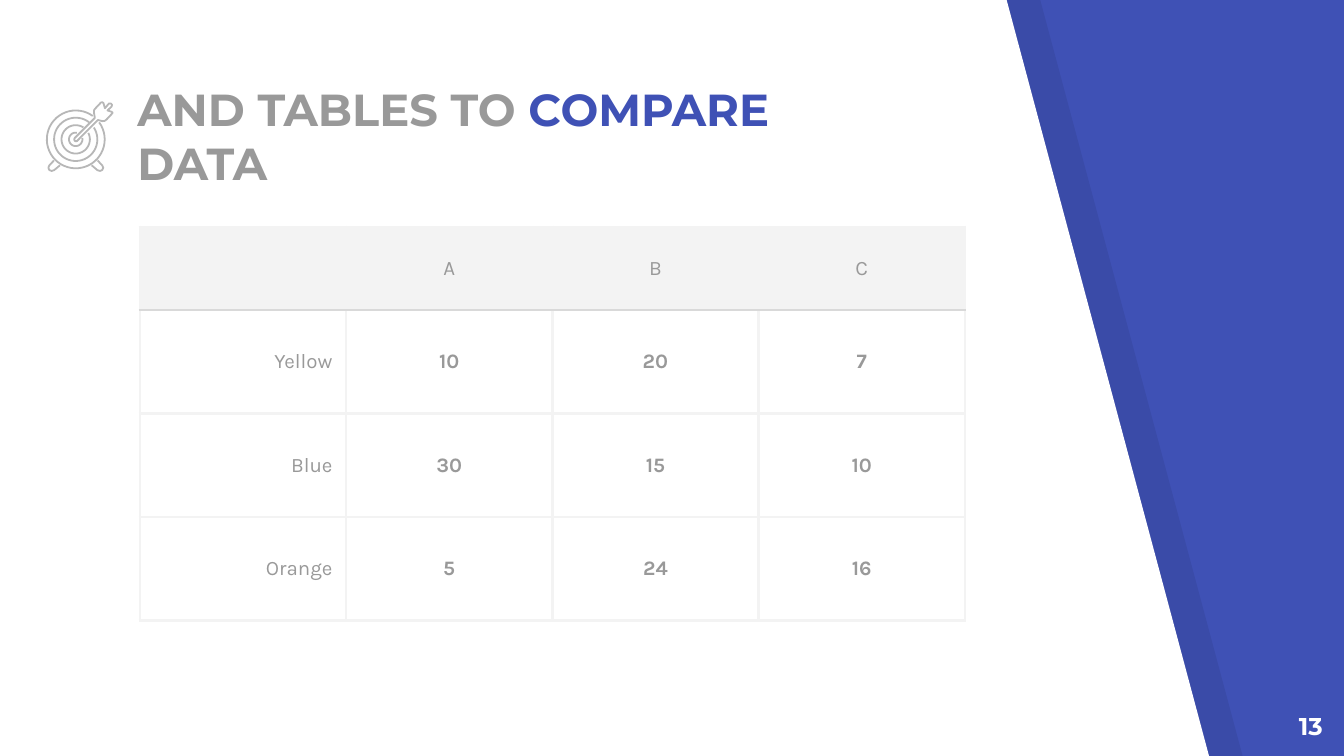
from math import cos, radians, sin

from lxml import etree
from pptx import Presentation
from pptx.dml.color import RGBColor
from pptx.enum.text import MSO_ANCHOR, MSO_AUTO_SIZE, PP_ALIGN
from pptx.oxml.ns import qn
from pptx.util import Pt

LEFT, CENTER, RIGHT = PP_ALIGN.LEFT, PP_ALIGN.CENTER, PP_ALIGN.RIGHT
TOP, MIDDLE, BOTTOM = MSO_ANCHOR.TOP, MSO_ANCHOR.MIDDLE, MSO_ANCHOR.BOTTOM
NO_AUTOFIT = MSO_AUTO_SIZE.NONE

COLORS = {
    "blue": "3F51B5",
    "black": "000000",
    "white": "FFFFFF",
    "text": "999999",
    "icon": "B7B7B7",
    "grid": "F3F3F3",
    "rule": "D9D9D9",
}
HEADING_FONT, BODY_FONT = "Montserrat", "Karla"
TITLE_ONLY = 5

TABLE_ROWS = [
    ["", "A", "B", "C"],
    ["Yellow", "10", "20", "7"],
    ["Blue", "30", "15", "10"],
    ["Orange", "5", "24", "16"],
]

TARGET_X, TARGET_Y = 40.6, 74.7
RINGS = [(15.5, -54, -36), (11.6, -52, -33), (7.6, -57, -27), (3.6, -80, -12)]
FOOT = [(-11.7, 11.3), (-14.2, 14), (-14.7, 15.2), (-14.2, 16.4),
        (-13, 16.9), (-11.6, 16.5), (-8.5, 13.9)]
DART = [(59.8, 59.9), (57.6, 59.2), (59.8, 57), (60, 56.2), (59.5, 55.5),
        (58.3, 55.5), (56.2, 58), (55.4, 55.2), (54.7, 54.7), (54, 55),
        (51, 58.2), (50.4, 59), (50.3, 60.2), (50.8, 63.2), (40, 74),
        (39.7, 74.8), (40.2, 75.6), (41.2, 75.6), (52.4, 64.3),
        (54.8, 64.9), (56, 64.8), (57, 64.1), (60.1, 60.8), (60.3, 60.3)]


class SlideBuilder:
    def __init__(self, slide):
        self.slide = slide

    def color(self, name):
        return RGBColor.from_string(COLORS[name])

    def background(self, color):
        fill = self.slide.background.fill
        fill.solid()
        fill.fore_color.rgb = self.color(color)

    def format_text(self, frame, font, size, color, bold=False, align=LEFT):
        for paragraph in frame.paragraphs:
            paragraph.alignment = align
            for run in paragraph.runs:
                run.font.name = font
                run.font.size = Pt(size)
                run.font.bold = bold
                run.font.color.rgb = self.color(color)

    def format_frame(self, frame, anchor):
        frame.word_wrap = True
        frame.auto_size = NO_AUTOFIT
        frame.vertical_anchor = anchor
        frame.margin_left = frame.margin_right = Pt(7.2)
        frame.margin_top = frame.margin_bottom = Pt(7.2)

    def place(self, shape, left, top, width, height):
        shape.left, shape.top = Pt(left), Pt(top)
        shape.width, shape.height = Pt(width), Pt(height)

    def bring_to_front(self, shape):
        shape.element.getparent().append(shape.element)

    def title(self, parts, highlight, box):
        shape = self.slide.shapes.title
        self.bring_to_front(shape)
        self.place(shape, *box)
        frame = shape.text_frame
        self.format_frame(frame, BOTTOM)
        for part in parts:
            frame.paragraphs[0].add_run().text = part
        self.format_text(frame, HEADING_FONT, 24, "text", bold=True)
        frame.paragraphs[0].runs[highlight].font.color.rgb = self.color("blue")

    def text(self, text, box, size, color, align):
        frame = self.slide.shapes.add_textbox(*map(Pt, box)).text_frame
        self.format_frame(frame, TOP)
        frame.text = text
        self.format_text(frame, HEADING_FONT, size, color, True, align)

    def freeform(self, shapes, points, close):
        points = [(Pt(x), Pt(y)) for x, y in points]
        builder = shapes.build_freeform(*points[0], scale=1.0)
        builder.add_line_segments(points[1:], close=close)
        shape = builder.convert_to_shape()
        shape.shadow.inherit = False
        return shape

    def panel(self, points, color, opacity=None):
        shape = self.freeform(self.slide.shapes, points, True)
        shape.fill.solid()
        shape.fill.fore_color.rgb = self.color(color)
        shape.line.fill.background()
        if opacity:
            value = shape.element.spPr.find(qn("a:solidFill")).find(qn("a:srgbClr"))
            etree.SubElement(value, qn("a:alpha"), val=str(opacity * 1000))

    def outline(self, group, points, close=False):
        shape = self.freeform(group.shapes, points, close)
        shape.fill.background()
        shape.line.color.rgb = self.color("icon")
        shape.line.width = Pt(0.96)

    def target_icon(self):
        group = self.slide.shapes.add_group_shape()
        for radius, gap_start, gap_end in RINGS:
            steps = 48
            sweep = gap_start + 360 - gap_end
            angles = [radians(gap_end + sweep * i / steps) for i in range(steps + 1)]
            self.outline(group, [(TARGET_X + radius * cos(angle),
                                  TARGET_Y + radius * sin(angle)) for angle in angles])
        for side in (1, -1):
            self.outline(group, [(TARGET_X + side * x, TARGET_Y + y) for x, y in FOOT])
        self.outline(group, DART, close=True)

    def cell_borders(self, cell, colors):
        properties = cell._tc.get_or_add_tcPr()
        for side, color in zip("LRTB", colors):
            line = etree.SubElement(properties, qn(f"a:ln{side}"), w=str(Pt(1.5)))
            fill = etree.SubElement(line, qn("a:solidFill"))
            etree.SubElement(fill, qn("a:srgbClr"), val=COLORS[color])

    def table(self, rows, left, top, column_width, row_heights):
        columns = len(rows[0])
        table = self.slide.shapes.add_table(
            len(rows), columns, Pt(left), Pt(top),
            Pt(column_width * columns), Pt(sum(row_heights))).table
        table.first_row = table.horz_banding = False
        for column in table.columns:
            column.width = Pt(column_width)
        for row, height in zip(table.rows, row_heights):
            row.height = Pt(height)
        for i, values in enumerate(rows):
            for j, value in enumerate(values):
                self.cell(table.cell(i, j), value, i, j)

    def cell(self, cell, value, row, column):
        top = "rule" if row == 1 else "grid"
        bottom = "rule" if row == 0 else "grid"
        self.cell_borders(cell, ("grid", "grid", top, bottom))
        if row == 0:
            cell.fill.solid()
            cell.fill.fore_color.rgb = self.color("grid")
        else:
            cell.fill.background()
        cell.vertical_anchor = MIDDLE
        cell.margin_left = cell.margin_right = Pt(7.2)
        cell.margin_top = cell.margin_bottom = Pt(5)
        cell.text_frame.text = value
        align = RIGHT if column == 0 else CENTER
        self.format_text(cell.text_frame, BODY_FONT, 11, "text",
                         row > 0 and column > 0, align)


def main():
    presentation = Presentation()
    presentation.slide_width, presentation.slide_height = Pt(720), Pt(405)
    slide = presentation.slides.add_slide(presentation.slide_layouts[TITLE_ONLY])
    builder = SlideBuilder(slide)
    builder.background("blue")
    for offset, color, opacity in ((18, "black", 7), (0, "white", None)):
        builder.panel([(offset, 0), (offset, 405), (offset + 647.7, 405),
                       (offset + 539.3, 0)], color, opacity)
    builder.title(["AND TABLES TO ", "COMPARE", " DATA"], 1, (66.4, 76.3, 378, 32.4))
    builder.table(TABLE_ROWS, 74.9, 121.7, 110.5, [44.4, 55.5, 55.5, 55.5])
    builder.target_icon()
    builder.text("13", (672.5, 373.7, 43.2, 31), 13, "white", RIGHT)
    presentation.save("out.pptx")


if __name__ == "__main__":
    main()
